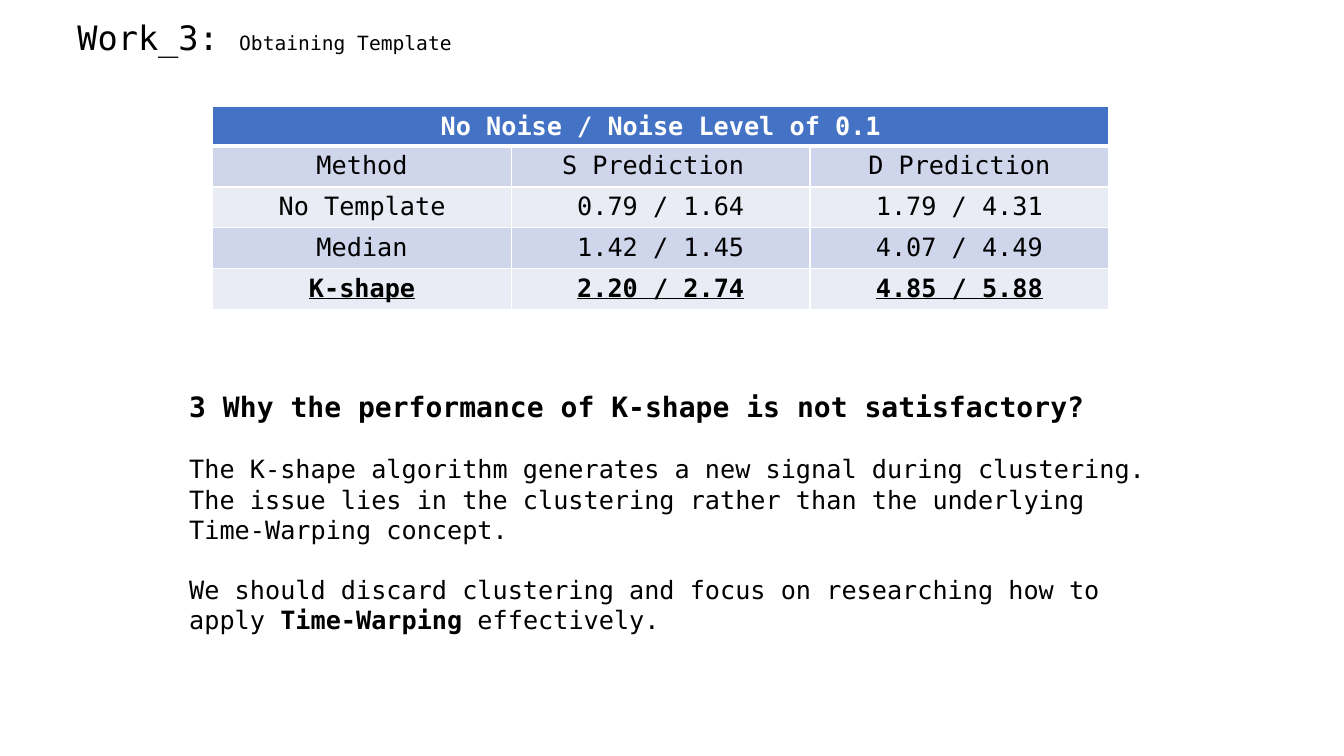
from lxml import etree
from pptx import Presentation
from pptx.dml.color import RGBColor
from pptx.enum.text import MSO_AUTO_SIZE, PP_ALIGN
from pptx.oxml.ns import qn
from pptx.util import Cm, Pt

LEFT, CENTER = PP_ALIGN.LEFT, PP_ALIGN.CENTER
FIT_SHAPE = MSO_AUTO_SIZE.SHAPE_TO_FIT_TEXT

FONT = "DejaVu Sans Mono"
BLACK = RGBColor(0x00, 0x00, 0x00)
WHITE = RGBColor(0xFF, 0xFF, 0xFF)
HEADER_BLUE = RGBColor(0x44, 0x72, 0xC4)
BANDS = (RGBColor(0xCF, 0xD5, 0xEA), RGBColor(0xE9, 0xEB, 0xF5))

SCORES = [
    ("Method", "S Prediction ", "D Prediction"),
    ("No Template", "0.79 / 1.64", "1.79 / 4.31"),
    ("Median", "1.42 / 1.45", "4.07 / 4.49"),
    ("K-shape", "2.20 / 2.74", "4.85 / 5.88"),
]


def write(paragraph, text, size=18, color=BLACK, bold=False, underline=False,
          align=LEFT):
    paragraph.alignment = align
    run = paragraph.add_run()
    run.text = text
    font = run.font
    font.name, font.size, font.bold = FONT, Pt(size), bold
    font.underline = underline
    font.color.rgb = color


def add_text_frame(slide, left, top, width, height):
    frame = slide.shapes.add_textbox(left, top, width, height).text_frame
    frame.word_wrap = True
    frame.auto_size = FIT_SHAPE
    return frame


def set_borders(cell, **widths):
    """Draw white borders; widths are points by side (L, R, T, B)."""
    properties = cell._tc.get_or_add_tcPr()
    for position, side in enumerate("LRTB"):
        line = etree.Element(qn(f"a:ln{side}"), w=str(Pt(widths.get(side, 1))))
        fill = etree.SubElement(line, qn("a:solidFill"))
        etree.SubElement(fill, qn("a:srgbClr"), val=str(WHITE))
        properties.insert(position, line)


def fill_cell(cell, fill):
    cell.fill.solid()
    cell.fill.fore_color.rgb = fill


def add_title(slide, left, top, width, height):
    title = add_text_frame(slide, left, top, width, height).paragraphs[0]
    write(title, "Work_3: ", size=24)
    write(title, "Obtaining Template", size=14)


def add_score_table(slide, left, top, width, header_height, row_height):
    columns = len(SCORES[0])
    table = slide.shapes.add_table(
        len(SCORES) + 1, columns, left, top, width,
        header_height + row_height * len(SCORES)).table
    table.first_row = table.horz_banding = False
    for column in table.columns:
        column.width = width // columns
    for row in table.rows:
        row.height = row_height
    table.rows[0].height = header_height

    # Merged header
    header = table.cell(0, 0)
    header.merge(table.cell(0, columns - 1))
    for c in range(columns):
        fill_cell(table.cell(0, c), HEADER_BLUE)
        set_borders(table.cell(0, c), B=3)
    write(header.text_frame.paragraphs[0], "No Noise / Noise Level of 0.1",
          color=WHITE, bold=True, align=CENTER)

    # Banded rows, with the K-shape row emphasised
    for r, scores in enumerate(SCORES, start=1):
        emphasised = r == len(SCORES)
        for c, score in enumerate(scores):
            cell = table.cell(r, c)
            fill_cell(cell, BANDS[(r - 1) % 2])
            set_borders(cell, T=3 if r == 1 else 1)
            write(cell.text_frame.paragraphs[0], score, bold=emphasised,
                  underline=emphasised, align=CENTER)


def add_discussion(slide, left, top, width, height):
    frame = add_text_frame(slide, left, top, width, height)
    write(frame.paragraphs[0],
          "3 Why the performance of K-shape is not satisfactory?",
          size=20, bold=True)

    reason = frame.add_paragraph()
    write(reason, "The K-shape algorithm generates a new signal during "
                  "clustering. The issue lies in the clustering rather than "
                  "the underlying Time-Warping concept.")

    proposal = frame.add_paragraph()
    write(proposal, "We should discard clustering and focus on researching "
                    "how to apply ")
    write(proposal, "Time-Warping", bold=True)
    write(proposal, " effectively.")

    for paragraph in (reason, proposal):
        paragraph.space_before = Pt(21.5)


def main():
    presentation = Presentation()
    presentation.slide_width = Cm(33.87)
    presentation.slide_height = Cm(19.05)
    slide = presentation.slides.add_slide(presentation.slide_layouts[6])
    add_score_table(slide, Cm(5.36), Cm(2.69), Cm(22.58), Cm(0.94), Cm(1.03))
    add_discussion(slide, Cm(4.52), Cm(9.7), Cm(24.84), Cm(6.5))
    add_title(slide, Cm(1.7), Cm(0.3), Cm(14.96), Cm(1.27))
    presentation.save("out.pptx")


if __name__ == "__main__":
    main()
